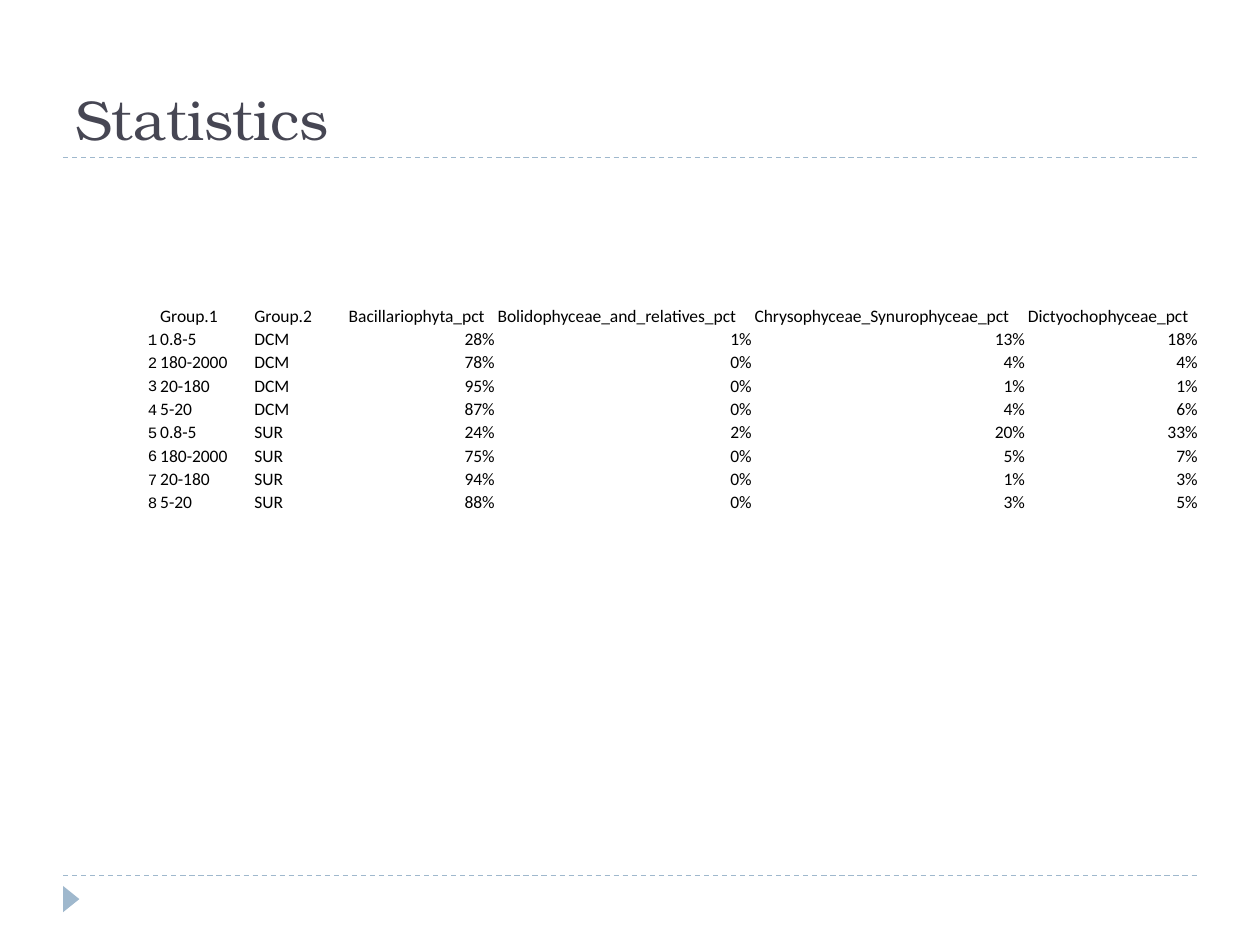
from lxml.etree import SubElement
from pptx import Presentation
from pptx.dml.color import RGBColor
from pptx.enum.dml import MSO_LINE_DASH_STYLE as Dash
from pptx.enum.shapes import MSO_CONNECTOR as Connector, MSO_SHAPE as Shape
from pptx.enum.text import MSO_ANCHOR as Anchor, PP_ALIGN as Align
from pptx.oxml.ns import qn
from pptx.util import Cm, Pt

TITLE = "Statistics"
HEADERS = ["", "Group.1", "Group.2", "Bacillariophyta_pct",
           "Bolidophyceae_and_relatives_pct",
           "Chrysophyceae_Synurophyceae_pct", "Dictyochophyceae_pct"]
SIZES = ["0.8-5", "180-2000", "20-180", "5-20"]
PERCENTS = {
    "DCM": [(28, 1, 13, 18), (78, 0, 4, 4), (95, 0, 1, 1), (87, 0, 4, 6)],
    "SUR": [(24, 2, 20, 33), (75, 0, 5, 7), (94, 0, 1, 3), (88, 0, 3, 5)],
}
COLUMN_WIDTHS = [1.9, 1.9, 1.9, 3, 5.18, 5.51, 3.48]
ROW_HEIGHT = 0.47
RULE_TOPS = [17.65, 3.18]
COLORS = {"title": "464653", "accent": "9FB8CD", "text": "000000"}


def write(frame, text, font="Calibri", size=10, color="text", align=Align.LEFT):
    para = frame.paragraphs[0]
    para.alignment = align
    if not text:
        # Keeps an empty cell from growing to the default text size
        SubElement(para._p, qn("a:endParaRPr"), sz=str(size * 100))
        return
    span = para.add_run()
    span.text = text
    span.font.name = font
    span.font.size = Pt(size)
    span.font.color.rgb = RGBColor.from_string(COLORS[color])


deck = Presentation()
deck.slide_width, deck.slide_height = Cm(25.4), Cm(19.05)
page = deck.slides.add_slide(deck.slide_layouts[6])
accent = RGBColor.from_string(COLORS["accent"])

# Dashed rules
for top in RULE_TOPS:
    rule = page.shapes.add_connector(
        Connector.STRAIGHT, Cm(1.27), Cm(top), Cm(24.13), Cm(top))
    rule.line.color.rgb = accent
    rule.line.width = Pt(0.75)
    rule.line.dash_style = Dash.DASH
    SubElement(rule._element.spPr, qn("a:effectLst"))

# Corner marker
marker = page.shapes.add_shape(
    Shape.ISOSCELES_TRIANGLE, Cm(1.17), Cm(17.96), Cm(0.53), Cm(0.33))
marker.rotation = 90
marker.shadow.inherit = False
marker.fill.solid()
marker.fill.fore_color.rgb = accent
marker.line.fill.background()

# Title
box = page.shapes.add_textbox(Cm(1.27), Cm(0.43), Cm(22.86), Cm(2.75))
box.text_frame.word_wrap = True
box.text_frame.vertical_anchor = Anchor.BOTTOM
write(box.text_frame, TITLE, font="TeX Gyre Bonum", size=32, color="title")

# Table of shares by group
groups = [(size, depth, *(f"{value}%" for value in values))
          for depth, shares in PERCENTS.items()
          for size, values in zip(SIZES, shares)]
rows = [HEADERS] + [(str(number), *group)
                    for number, group in enumerate(groups, 1)]
table = page.shapes.add_table(
    len(rows), len(HEADERS), Cm(1.3), Cm(6.12),
    Cm(sum(COLUMN_WIDTHS)), Cm(ROW_HEIGHT * len(rows))).table
table.first_row = table.horz_banding = False
for column, width in zip(table.columns, COLUMN_WIDTHS):
    column.width = Cm(width)

for r, row in enumerate(rows):
    table.rows[r].height = Cm(ROW_HEIGHT)
    for c, text in enumerate(row):
        cell = table.cell(r, c)
        cell.fill.background()
        cell.vertical_anchor = Anchor.BOTTOM
        cell.margin_left = cell.margin_right = cell.margin_top = Cm(0.03)
        cell.margin_bottom = 0
        is_number = r > 0 and c not in (1, 2)
        style = {"font": "Courier New", "size": 9} if c == 0 else {}
        write(cell.text_frame, text,
              align=Align.RIGHT if is_number else Align.LEFT, **style)

deck.save("out.pptx")
